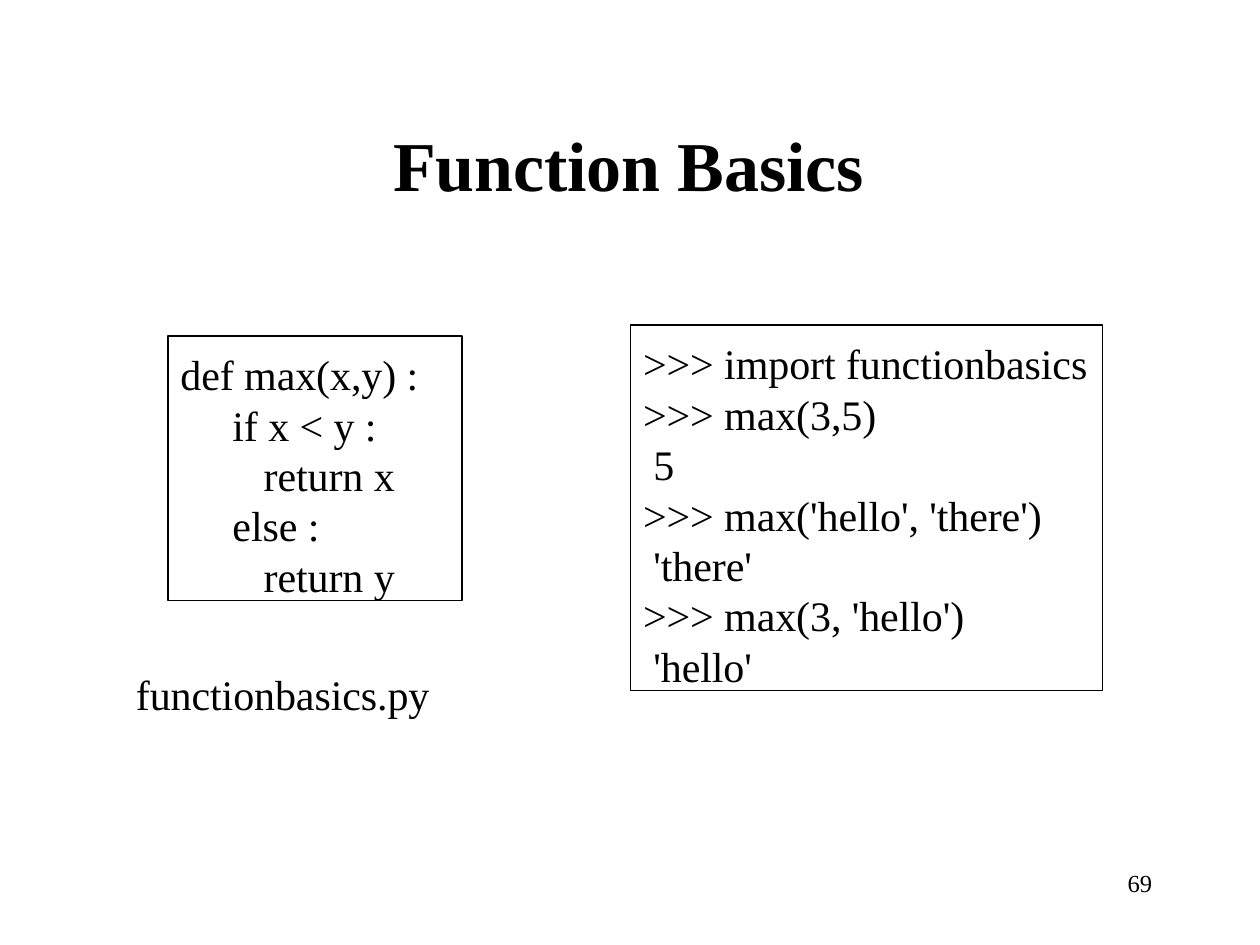
from dataclasses import dataclass

from pptx import Presentation
from pptx.dml.color import RGBColor
from pptx.enum.shapes import MSO_SHAPE as Shape
from pptx.enum.text import MSO_ANCHOR as Anchor, MSO_AUTO_SIZE as AutoSize, PP_ALIGN as Align
from pptx.util import Pt


@dataclass(frozen=True)
class Theme:
    font: str = "Times New Roman"
    ink: RGBColor = RGBColor(0, 0, 0)
    title_size: float = 40
    code_size: float = 24
    number_size: float = 14
    outline: float = 0.75
    tracking: str = "-5"


@dataclass(frozen=True)
class Box:
    left: float
    top: float
    width: float
    height: float


@dataclass(frozen=True)
class Listing:
    box: Box
    code: str


THEME = Theme()

LISTINGS = [
    Listing(Box(96, 192, 168, 151.2), """\
def max(x,y) :
     if x < y :
        return x
     else :
        return y"""),
    Listing(Box(360.4, 185.8, 269.8, 208.8), """\
>>> import functionbasics
>>> max(3,5)
 5
>>> max('hello', 'there')
 'there'
>>> max(3, 'hello')
 'hello'"""),
]


def place(shape, box: Box) -> None:
    for side in ("left", "top", "width", "height"):
        setattr(shape, side, Pt(getattr(box, side)))


def write(shape, text: str, size: float, inset_left: float = 0, inset_top: float = 0,
          bold: bool = False, wrap: bool = False) -> None:
    """Fill a shape with left-aligned text, one paragraph per line."""
    frame = shape.text_frame
    frame.text = text
    frame_format = {
        "margin_left": Pt(inset_left), "margin_top": Pt(inset_top),
        "margin_right": 0, "margin_bottom": 0, "word_wrap": wrap,
        "auto_size": AutoSize.NONE, "vertical_anchor": Anchor.TOP,
    }
    for name, value in frame_format.items():
        setattr(frame, name, value)
    font_format = {"name": THEME.font, "size": Pt(size), "bold": bold}
    for paragraph in frame.paragraphs:
        paragraph.alignment = Align.LEFT
        for run in paragraph.runs:
            for name, value in font_format.items():
                setattr(run.font, name, value)
            run.font.color.rgb = THEME.ink
            run._r.get_or_add_rPr().set("spc", THEME.tracking)


def add_label(slide, box: Box, text: str, size: float, **text_format) -> None:
    label = slide.shapes.add_textbox(0, 0, 0, 0)
    place(label, box)
    write(label, text, size, **text_format)


def add_listing(slide, listing: Listing) -> None:
    panel = slide.shapes.add_shape(Shape.RECTANGLE, 0, 0, 0, 0)
    place(panel, listing.box)
    panel.shadow.inherit = False
    panel.fill.background()
    panel.line.color.rgb = THEME.ink
    panel.line.width = Pt(THEME.outline)
    write(panel, listing.code, THEME.code_size, inset_left=7.2, inset_top=7.3, wrap=True)


def main() -> None:
    deck = Presentation()
    deck.slide_width, deck.slide_height = Pt(720), Pt(540)
    slide = deck.slides.add_slide(deck.slide_layouts.get_by_name("Title Only"))

    add_label(slide, Box(641.5, 496, 20.2, 17.3), "69", THEME.number_size, inset_left=2.9)
    title = slide.shapes.title
    place(title, Box(223.9, 67.7, 271.4, 49.7))
    write(title, "Function Basics", THEME.title_size, inset_left=0.7, inset_top=1.7, bold=True)
    for listing in LISTINGS:
        add_listing(slide, listing)
    add_label(slide, Box(77, 380.2, 170.6, 31), "functionbasics.py", THEME.code_size,
              inset_left=0.7, inset_top=1.7)

    deck.save("out.pptx")


if __name__ == "__main__":
    main()
